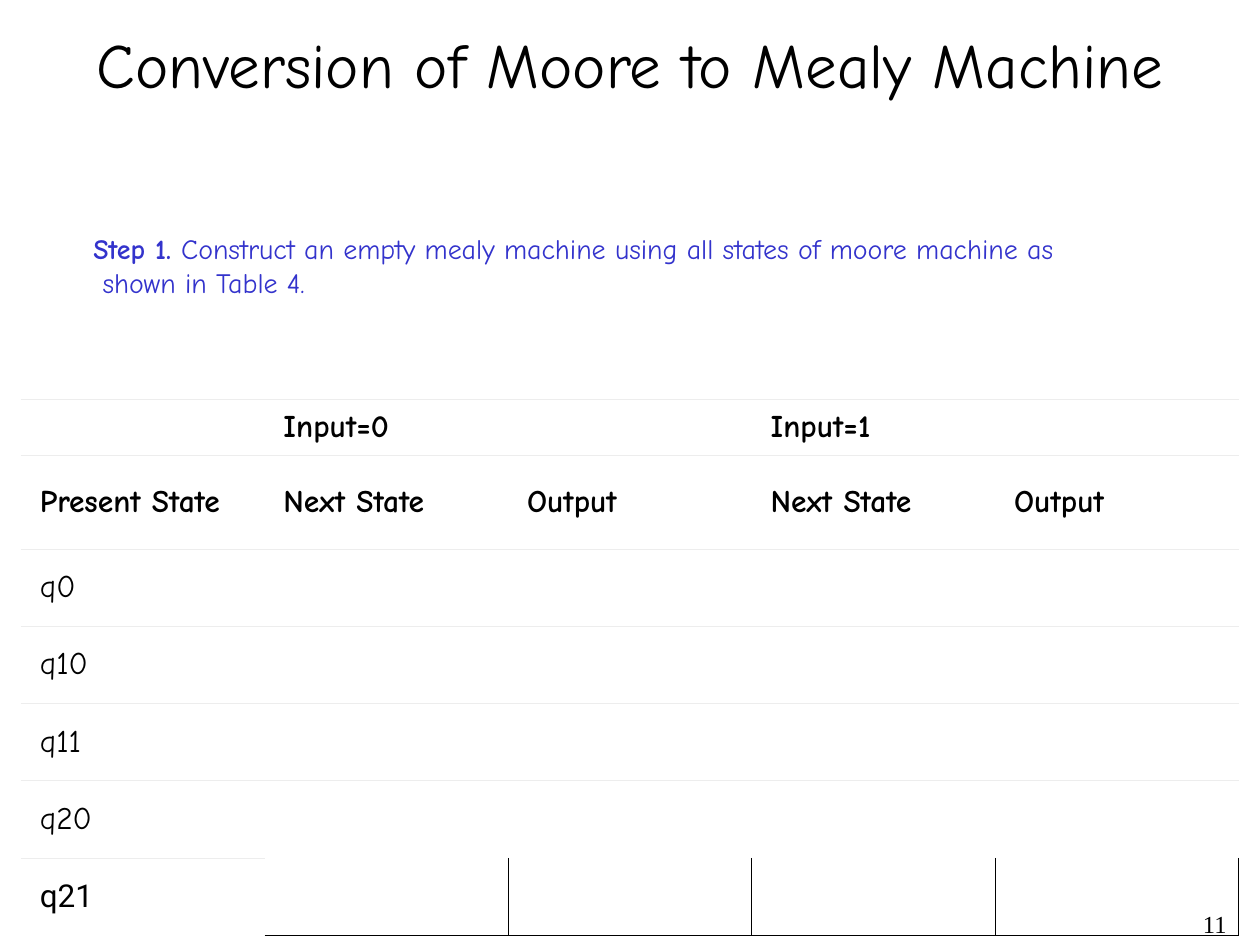
import pptx
import pptx.util
import pptx.dml.color
import pptx.enum.text
import pptx.oxml.ns
import lxml.etree

BLACK = pptx.dml.color.RGBColor(0x00, 0x00, 0x00)
BLUE = pptx.dml.color.RGBColor(0x33, 0x33, 0xCC)
PALE = pptx.dml.color.RGBColor(0xED, 0xED, 0xED)
WHITE = pptx.dml.color.RGBColor(0xFF, 0xFF, 0xFF)
MAIN_FONT = "Comic Neue"
ALIGN = pptx.enum.text.PP_ALIGN
ANCHOR = pptx.enum.text.MSO_ANCHOR

# The slide is a grid of 60 columns by 45 rows
WIDTH, HEIGHT = pptx.util.Inches(10), pptx.util.Inches(7.5)
UNIT = WIDTH / 60

HEADINGS = ["Present State"] + ["Next State", "Output"] * 2
STATES = ["q0", "q10", "q11", "q20", "q21"]
ROW_HEIGHTS = [2.7, 4.44] + [3.68] * len(STATES)
PALE_EDGE, BLACK_EDGE = (PALE, 0.34), (BLACK, 0.45)


def grid(*cells):
    return [round(cell * UNIT) for cell in cells]


def write(paragraph, text, size=18, font=MAIN_FONT, color=BLACK, bold=False,
          align=ALIGN.LEFT):
    paragraph.alignment = align
    run = paragraph.add_run()
    run.text = text
    run.font.size = pptx.util.Pt(size)
    run.font.name = font
    run.font.bold = bold
    run.font.color.rgb = color


def add_title(slide, box):
    title = slide.shapes.title
    title.left, title.top, title.width, title.height = grid(*box)
    title.text_frame.vertical_anchor = ANCHOR.MIDDLE
    write(title.text_frame.paragraphs[0], "Conversion of Moore to Mealy Machine",
          size=36, align=ALIGN.CENTER)


def add_page_number(slide, box):
    frame = slide.shapes.add_textbox(*grid(*box)).text_frame
    frame.word_wrap = True
    write(frame.paragraphs[0], "11", size=14, font="Times New Roman",
          align=ALIGN.RIGHT)


def add_step(slide, box):
    frame = slide.shapes.add_textbox(*grid(*box)).text_frame
    frame.word_wrap = False
    frame.auto_size = pptx.enum.text.MSO_AUTO_SIZE.SHAPE_TO_FIT_TEXT
    frame.vertical_anchor = ANCHOR.MIDDLE
    frame.margin_left = frame.margin_right = 0
    frame.margin_top = frame.margin_bottom = 0
    first = frame.paragraphs[0]
    write(first, "Step 1. ", size=16, color=BLUE, bold=True)
    write(first, "Construct an empty mealy machine using all states of moore machine as",
          size=16, color=BLUE)
    write(frame.add_paragraph(), " shown in Table 4.", size=16, color=BLUE)


def set_edges(cell, edges):
    """Draw the given edges (L, R, T, B) and hide the others."""
    properties = cell._tc.get_or_add_tcPr()
    qn = pptx.oxml.ns.qn
    for side in "LRTB":
        line = lxml.etree.SubElement(properties, qn(f"a:ln{side}"))
        if side in edges:
            color, points = edges[side]
            line.set("w", str(int(pptx.util.Pt(points))))
            fill = lxml.etree.SubElement(line, qn("a:solidFill"))
            lxml.etree.SubElement(fill, qn("a:srgbClr"), val=str(color))
        else:
            lxml.etree.SubElement(line, qn("a:noFill"))


def edges_of(row, column):
    last = len(ROW_HEIGHTS) - 1
    if row == last and column > 0:
        edges = {"R": BLACK_EDGE, "B": BLACK_EDGE}
        if column > 1:
            edges["L"] = BLACK_EDGE
        return edges
    if row == last or (row == last - 1 and column > 0):
        return {"T": PALE_EDGE}
    return {"T": PALE_EDGE, "B": PALE_EDGE}


def add_state_table(slide, box):
    table = slide.shapes.add_table(len(ROW_HEIGHTS), len(HEADINGS),
                                   *grid(*box)).table
    table.first_row = table.horz_banding = False
    for row, height in zip(table.rows, ROW_HEIGHTS):
        row.height = round(height * UNIT)

    # Cell borders and margins
    for row in range(len(ROW_HEIGHTS)):
        for column in range(len(HEADINGS)):
            cell = table.cell(row, column)
            set_edges(cell, edges_of(row, column))
            cell.fill.background()
            cell.vertical_anchor = ANCHOR.MIDDLE
            cell.margin_left = cell.margin_right = pptx.util.Inches(0.15)

    # Two header rows, the first one with merged inputs
    for column, label in ((1, "Input=0"), (3, "Input=1")):
        table.cell(0, column).merge(table.cell(0, column + 1))
        write(table.cell(0, column).text_frame.paragraphs[0], label, bold=True)
    for column, heading in enumerate(HEADINGS):
        write(table.cell(1, column).text_frame.paragraphs[0], heading, bold=True)

    # States
    for row, state in enumerate(STATES, start=2):
        font = "Roboto" if state == STATES[-1] else MAIN_FONT
        write(table.cell(row, 0).text_frame.paragraphs[0], state, font=font)
    last_state = table.cell(len(ROW_HEIGHTS) - 1, 0)
    last_state.fill.solid()
    last_state.fill.fore_color.rgb = WHITE


def main():
    deck = pptx.Presentation()
    deck.slide_width, deck.slide_height = WIDTH, HEIGHT
    slide = deck.slides.add_slide(deck.slide_layouts[5])
    add_title(slide, (1, 1, 58, 4))
    add_page_number(slide, (46.5, 43, 12.5, 2))
    add_state_table(slide, (1, 19, 58, sum(ROW_HEIGHTS)))
    add_step(slide, (4.44, 11.04, 45.9, 3.2))
    deck.save("out.pptx")


if __name__ == "__main__":
    main()
